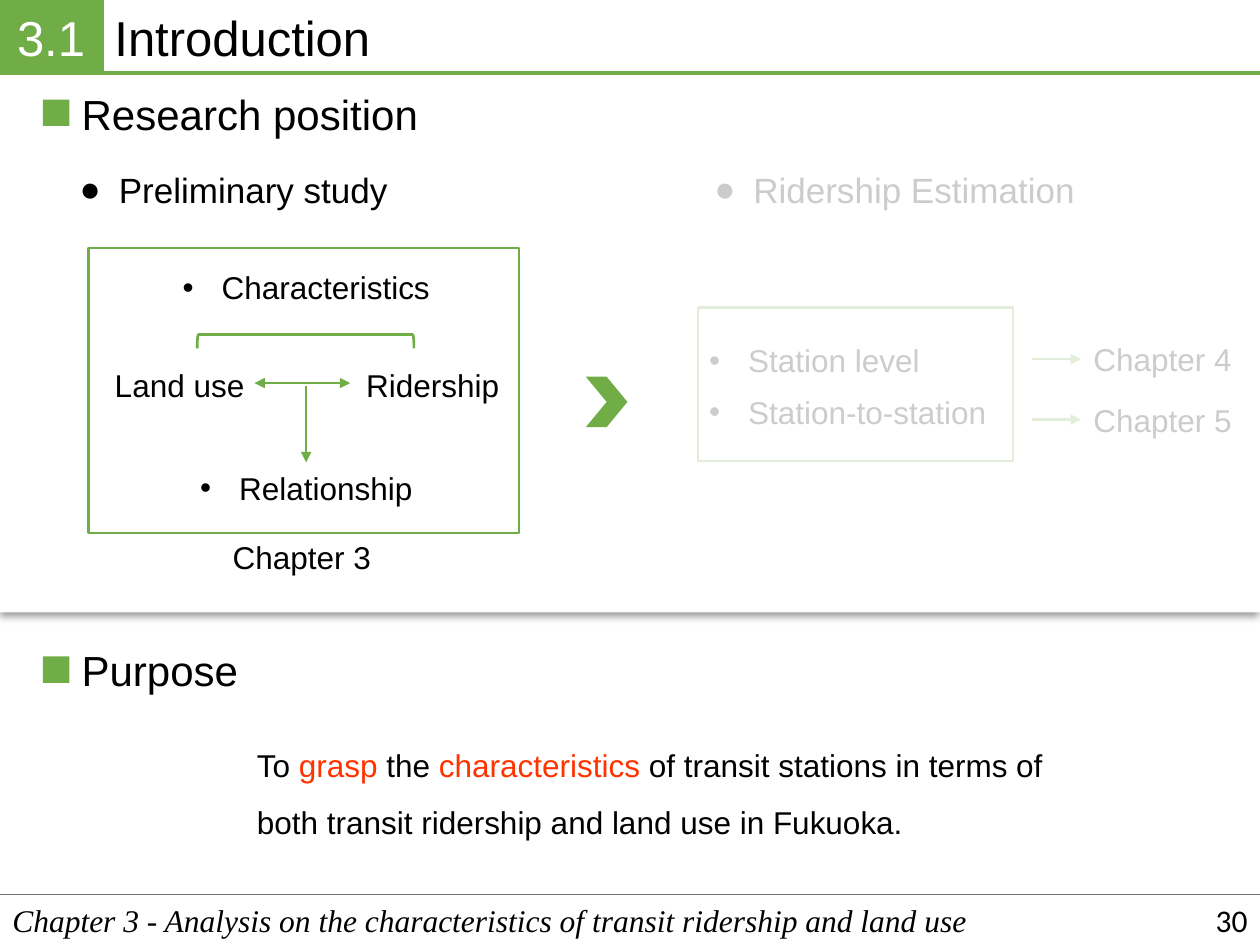
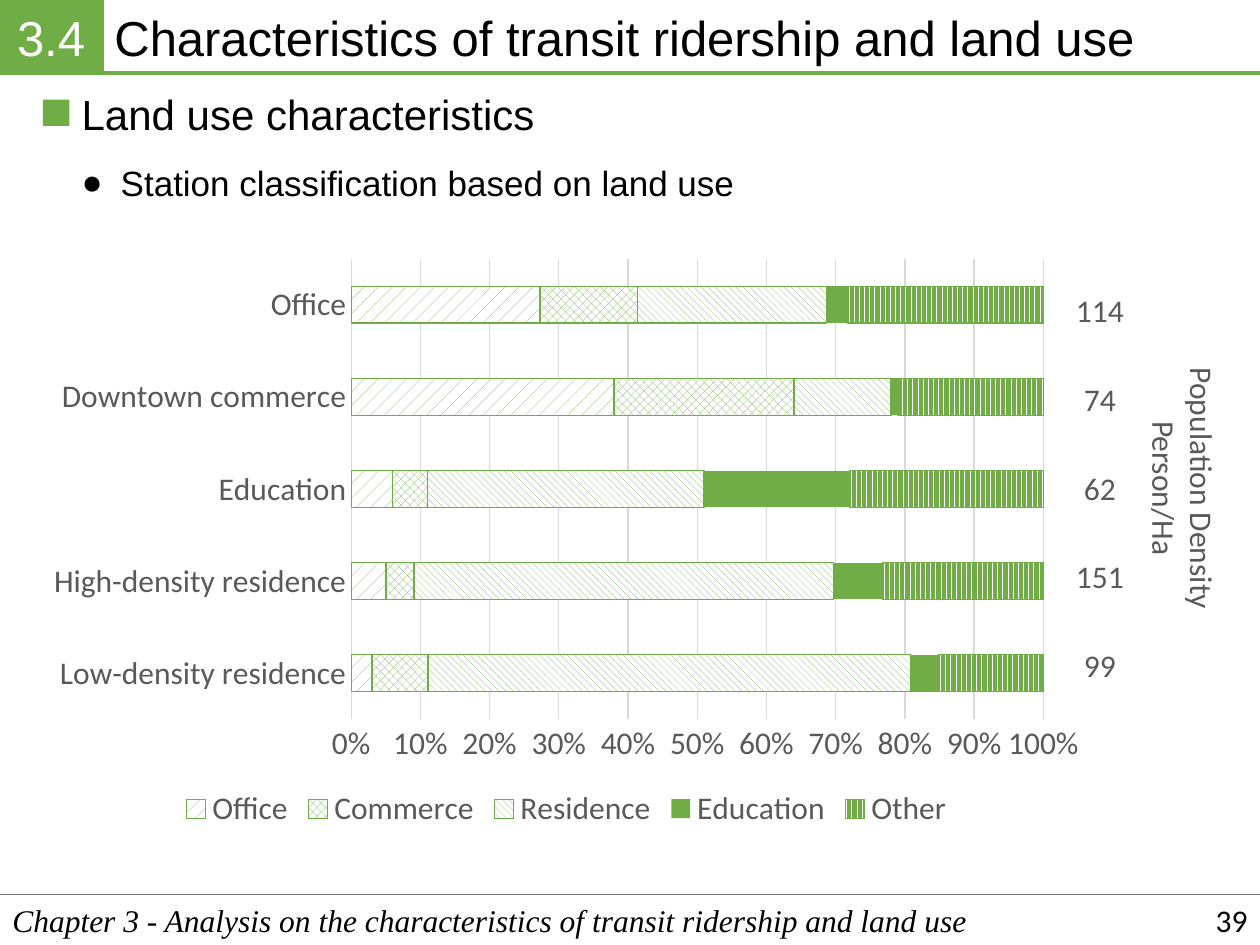
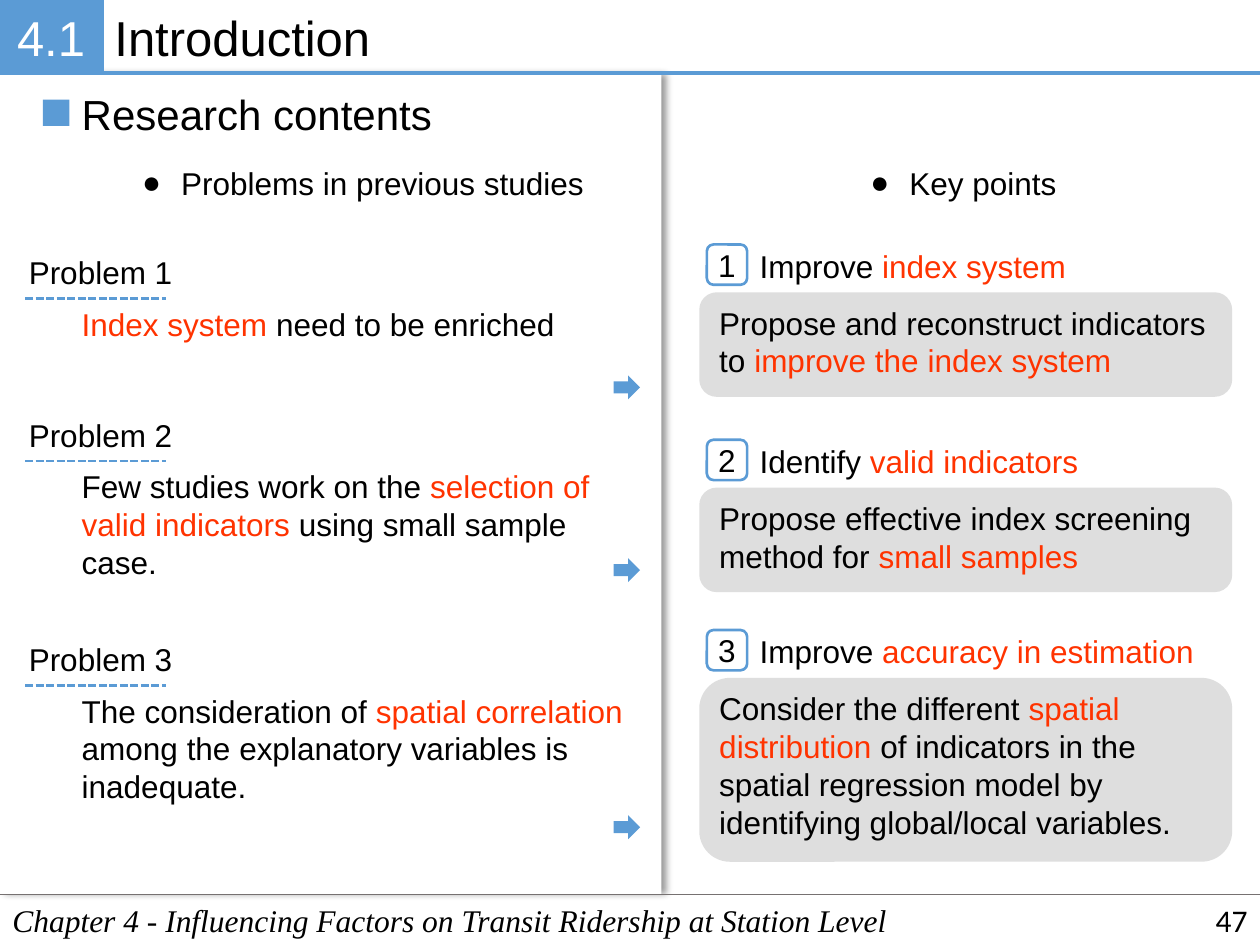
from dataclasses import dataclass
from typing import Any

from lxml import etree
from pptx import Presentation
from pptx.chart.data import CategoryChartData
from pptx.dml.color import RGBColor
from pptx.enum.chart import XL_CHART_TYPE, XL_LEGEND_POSITION, XL_TICK_MARK
from pptx.enum.dml import MSO_LINE, MSO_PATTERN
from pptx.enum.shapes import MSO_CONNECTOR, MSO_SHAPE
from pptx.enum.text import MSO_ANCHOR, MSO_AUTO_SIZE, PP_ALIGN
from pptx.oxml.ns import qn
from pptx.util import Inches, Pt

BLACK = RGBColor(0x00, 0x00, 0x00)
WHITE = RGBColor(0xFF, 0xFF, 0xFF)
GREEN = RGBColor(0x70, 0xAD, 0x47)
BLUE = RGBColor(0x5B, 0x9B, 0xD5)
RED = RGBColor(0xFF, 0x33, 0x00)
RULE_GRAY = RGBColor(0x76, 0x71, 0x71)
CARD_GRAY = RGBColor(0x7F, 0x7F, 0x7F)
CHART_TEXT = RGBColor(0x59, 0x59, 0x59)
GRID_GRAY = RGBColor(0xD9, 0xD9, 0xD9)

LEFT, CENTER, RIGHT = PP_ALIGN.LEFT, PP_ALIGN.CENTER, PP_ALIGN.RIGHT
TOP, MIDDLE = MSO_ANCHOR.TOP, MSO_ANCHOR.MIDDLE
RECTANGLE, ROUNDED = MSO_SHAPE.RECTANGLE, MSO_SHAPE.ROUNDED_RECTANGLE
CHEVRON, RIGHT_ARROW = MSO_SHAPE.CHEVRON, MSO_SHAPE.RIGHT_ARROW
BRACKET = MSO_SHAPE.LEFT_BRACKET
SHORT_DASH = MSO_LINE.SQUARE_DOT
STRAIGHT = MSO_CONNECTOR.STRAIGHT
NO_TICK = XL_TICK_MARK.NONE
SIDE_TOP, SIDE_LEFT = 0, 1

SLIDE_WIDTH, SLIDE_HEIGHT = 10, 7.5
HEADER_HEIGHT, FOOTER_TOP = 0.58, 7.1
BADGE_WIDTH = 0.81
BULLET_INDENT = 0.31

CHAPTER_3 = "Chapter 3 - Analysis on the characteristics of transit ridership and land use"
CHAPTER_4 = "Chapter 4 - Influencing Factors on Transit Ridership at Station Level"


def red(text):
    return text, RED


def add_runs(paragraph, runs, size, font, color, italic=False):
    """Each run is a string in the given colour or a (string, colour) pair."""
    for item in runs:
        text, run_color = item if isinstance(item, tuple) else (item, color)
        run = paragraph.add_run()
        run.text = text
        run.font.size = Pt(size)
        run.font.name = font
        run.font.color.rgb = run_color
        if italic:
            run.font.italic = True


def add_bullet(paragraph, character):
    properties = paragraph._p.get_or_add_pPr()
    properties.set("marL", str(Inches(BULLET_INDENT)))
    properties.set("indent", str(-Inches(BULLET_INDENT)))
    etree.SubElement(properties, qn("a:buFont"), typeface="Arial")
    etree.SubElement(properties, qn("a:buChar"), char=character)


def set_opacity(shape, percent):
    color = shape.element.spPr.find(qn("a:solidFill")).find(qn("a:srgbClr"))
    etree.SubElement(color, qn("a:alpha"), val=str(percent * 1000))


def add_shadow(shape, degrees):
    effects = shape.element.spPr.find(qn("a:effectLst"))
    shadow = etree.SubElement(effects, qn("a:outerShdw"), blurRad=str(Pt(4)), dist=str(Pt(3)),
                              dir=str(degrees * 60000), algn="ctr", rotWithShape="0")
    color = etree.SubElement(shadow, qn("a:srgbClr"), val="000000")
    etree.SubElement(color, qn("a:alpha"), val="40000")


@dataclass
class Region:
    """Places parts relative to a corner on a slide."""
    slide: Any
    left: float = 0
    top: float = 0

    def box(self, x, y, width, height):
        return (Inches(self.left + x), Inches(self.top + y), Inches(width), Inches(height))

    def text(self, x, y, width, height, *paragraphs, size=18, font="Arial", color=BLACK,
             align=LEFT, anchor=TOP, wrap=True, bullet=None, spacing=None, italic=False):
        text_box = self.slide.shapes.add_textbox(*self.box(x, y, width, height))
        frame = text_box.text_frame
        frame.word_wrap = wrap
        frame.auto_size = MSO_AUTO_SIZE.SHAPE_TO_FIT_TEXT
        frame.vertical_anchor = anchor
        for index, runs in enumerate(paragraphs):
            paragraph = frame.add_paragraph() if index else frame.paragraphs[0]
            if bullet:
                add_bullet(paragraph, bullet)
            paragraph.alignment = align
            if spacing:
                paragraph.line_spacing = spacing
            add_runs(paragraph, [runs] if isinstance(runs, str) else runs,
                     size, font, color, italic)
        return text_box

    def shape(self, kind, x, y, width, height, fill=None, line=None, line_width=1.5):
        shape = self.slide.shapes.add_shape(kind, *self.box(x, y, width, height))
        shape.shadow.inherit = False
        if fill is None:
            shape.fill.background()
        else:
            shape.fill.solid()
            shape.fill.fore_color.rgb = fill
        if line is None:
            shape.line.fill.background()
        else:
            shape.line.color.rgb = line
            shape.line.width = Pt(line_width)
        return shape

    def label(self, shape, text, size, color):
        frame = shape.text_frame
        frame.margin_left = frame.margin_right = frame.margin_top = frame.margin_bottom = 0
        frame.word_wrap = False
        frame.vertical_anchor = MIDDLE
        frame.paragraphs[0].alignment = CENTER
        add_runs(frame.paragraphs[0], [text], size, "Arial", color)

    def line(self, x1, y1, x2, y2, color, width=1.5, dash=None, head=False, tail=False,
             target=None, side=SIDE_TOP):
        connector = self.slide.shapes.add_connector(
            STRAIGHT, Inches(self.left + x1), Inches(self.top + y1),
            Inches(self.left + x2), Inches(self.top + y2))
        connector.line.color.rgb = color
        connector.line.width = Pt(width)
        if dash:
            connector.line.dash_style = dash
        outline = connector.line._get_or_add_ln()
        for wanted, tag in ((head, "a:headEnd"), (tail, "a:tailEnd")):
            if wanted:
                etree.SubElement(outline, qn(tag), type="triangle")
        etree.SubElement(connector.element.spPr, qn("a:effectLst"))
        if target is not None:
            connector.end_connect(target, side)


# Shared parts

def add_frame(slide, accent, number, title, chapter, page):
    region = Region(slide)
    # Footer
    region.text(0, FOOTER_TOP, SLIDE_WIDTH, 0.4, chapter, font="Times New Roman", italic=True)
    region.line(0, FOOTER_TOP, SLIDE_WIDTH, FOOTER_TOP, RULE_GRAY, 1)
    # Title with numbered badge
    region.text(BADGE_WIDTH, 0.01, SLIDE_WIDTH - BADGE_WIDTH, 0.57, title, size=28)
    badge = region.shape(RECTANGLE, 0, 0, BADGE_WIDTH, HEADER_HEIGHT, accent, accent, 2.25)
    region.label(badge, number, 28, WHITE)
    region.line(BADGE_WIDTH, HEADER_HEIGHT, SLIDE_WIDTH, HEADER_HEIGHT, accent, 2.25)
    # Page number
    region.text(7.75, FOOTER_TOP, 2.25, 0.4, page, font="Calibri", align=RIGHT, anchor=MIDDLE)


def add_heading(slide, top, width, text, accent):
    region = Region(slide, 0.34, top)
    region.shape(RECTANGLE, 0, 0.14, 0.21, 0.21, accent)
    region.text(0.21, 0, width, 0.5, text, size=24, wrap=False)


# Research position slide

def add_preliminary_study(slide, left, top):
    region = Region(slide, left, top)
    region.text(-0.1, 0, 3.03, 0.44, "Preliminary study", size=20, align=CENTER, bullet="●")
    region.shape(RECTANGLE, 0.26, 0.68, 3.42, 2.26, line=GREEN)
    region.text(0, 0.79, 3.98, 0.4, "Characteristics", align=CENTER, bullet="•")
    relationship = region.text(0, 2.38, 3.98, 0.4, "Relationship", align=CENTER, bullet="•")
    region.text(1.3, 2.93, 1.31, 0.4, "Chapter 3", align=CENTER, wrap=False)
    for x, text in ((0, "Land use"), (2.01, "Ridership")):
        region.text(x, 1.57, 1.97, 0.4, text, align=CENTER)
    # Links between the terms
    region.line(1.58, 1.75, 2.34, 1.75, GREEN, head=True, tail=True)
    bracket = region.shape(BRACKET, 1.93, 0.56, 0.11, 1.72, line=GREEN)
    bracket.rotation = 90
    region.line(1.99, 1.77, 1.99, 2.38, GREEN, tail=True, target=relationship)
    region.shape(CHEVRON, 4.21, 1.7, 0.33, 0.4, GREEN)


def add_ridership_estimation(slide, left, top):
    region = Region(slide, left, top)
    region.text(-0.11, 0, 3.58, 0.44, "Ridership Estimation", size=20, align=CENTER, bullet="●")
    region.shape(RECTANGLE, 0.12, 1.15, 2.5, 1.22, line=GREEN)
    region.text(0.11, 1.37, 1.89, 0.4, "Station level", wrap=False, bullet="•")
    region.text(0.11, 1.78, 2.5, 0.4, "Station-to-station", bullet="•")
    for y, text in ((1.36, "Chapter 4"), (1.84, "Chapter 5")):
        chapter = region.text(3.16, y, 1.31, 0.4, text, wrap=False)
        region.line(2.77, y + 0.2, 3.16, y + 0.2, GREEN, tail=True,
                    target=chapter, side=SIDE_LEFT)
    # Veil that fades the later chapters
    set_opacity(region.shape(RECTANGLE, 0, 0, 4.48, 2.6, WHITE), 80)


def build_position_slide(slide):
    panel = Region(slide).shape(RECTANGLE, 0, HEADER_HEIGHT, SLIDE_WIDTH, 4.28, WHITE)
    add_shadow(panel, 90)
    add_frame(slide, GREEN, "3.1", "Introduction", CHAPTER_3, "30")
    add_heading(slide, 0.65, 2.9, "Research position", GREEN)
    add_heading(slide, 5.07, 1.46, "Purpose", GREEN)
    Region(slide).text(
        1.94, 5.72, 6.93, 0.95,
        ["To ", red("grasp"), " the ", red("characteristics"),
         " of transit stations in terms of both transit ridership and land use in Fukuoka."],
        spacing=1.5)
    add_preliminary_study(slide, 0.44, 1.29)
    add_ridership_estimation(slide, 5.42, 1.29)


# Land use slide

LAND_USE_CATEGORIES = ["Low-density residence", "High-density residence", "Education",
                       "Downtown commerce", "Office"]
LAND_USE_SERIES = [
    ("Office", (3, 5, 6, 38, 27), MSO_PATTERN.PERCENT_10),
    ("Commerce", (8, 4, 5, 26, 14), MSO_PATTERN.PERCENT_50),
    ("Residence", (69, 60, 40, 14, 27), MSO_PATTERN.WIDE_DOWNWARD_DIAGONAL),
    ("Education", (4, 7, 21, 1, 3), None),
    ("Other", (15, 23, 28, 21, 28), MSO_PATTERN.DARK_VERTICAL),
]


def style_chart_font(font):
    font.size = Pt(18)
    font.name = "Calibri"
    font.color.rgb = CHART_TEXT


def add_land_use_chart(slide, left, top):
    data = CategoryChartData()
    data.categories = LAND_USE_CATEGORIES
    for name, values, _ in LAND_USE_SERIES:
        data.add_series(name, values)
    chart = slide.shapes.add_chart(XL_CHART_TYPE.BAR_STACKED_100,
                                   *Region(slide, left, top).box(0, 0, 8.47, 4.66), data).chart
    style_chart_font(chart.font)
    chart.has_title = False
    chart.has_legend = True
    chart.legend.position = XL_LEGEND_POSITION.BOTTOM
    chart.legend.include_in_layout = False
    style_chart_font(chart.legend.font)

    # Axes
    for axis in (chart.category_axis, chart.value_axis):
        axis.major_tick_mark = axis.minor_tick_mark = NO_TICK
        style_chart_font(axis.tick_labels.font)
    chart.category_axis.format.line.color.rgb = GRID_GRAY
    chart.category_axis.format.line.width = Pt(0.75)
    value_axis = chart.value_axis
    value_axis.format.line.fill.background()
    value_axis.major_gridlines.format.line.color.rgb = GRID_GRAY
    value_axis.major_gridlines.format.line.width = Pt(0.75)
    value_axis.tick_labels.number_format = "0%"
    value_axis.tick_labels.number_format_is_linked = False

    # Bars
    plot = chart.plots[0]
    plot.gap_width, plot.overlap = 150, 100
    plot.vary_by_categories = False
    for series, (_, _, pattern) in zip(plot.series, LAND_USE_SERIES):
        fill = series.format.fill
        if pattern is None:
            fill.solid()
            fill.fore_color.rgb = GREEN
            continue
        fill.patterned()
        fill.pattern = pattern
        fill.fore_color.rgb = GREEN
        fill.back_color.rgb = WHITE
        series.format.line.color.rgb = GREEN
        series.format.line.width = Pt(0.75)


def add_population_density(slide, left, top):
    region = Region(slide, left, top)
    style = {"font": "Calibri", "color": CHART_TEXT, "align": CENTER, "wrap": False}
    for index, density in enumerate(("114", "74", "62", "151", "99")):
        region.text(0, index * 0.705, 0.6, 0.4, density, **style)
    title = region.text(-0.11, 1.26, 2.14, 0.71, "Population Density", "Person/Ha", **style)
    title.rotation = 90


def build_land_use_slide(slide):
    add_frame(slide, GREEN, "3.4", "Characteristics of transit ridership and land use",
              CHAPTER_3, "39")
    add_heading(slide, 0.65, 3.83, "Land use characteristics", GREEN)
    Region(slide).text(0.55, 1.23, 5.43, 0.44, "Station classification based on land use",
                       size=20, wrap=False, bullet="●")
    add_land_use_chart(slide, 0.26, 1.96)
    add_population_density(slide, 8.43, 2.26)


# Research contents slide: (top, arrow offset, text)
PROBLEMS = [
    (1.96, 1.02, [red("Index system "), "need to be enriched"]),
    (3.25, 1.18, ["Few studies work on the ", red("selection of valid indicators "),
                  "using small sample case."]),
    (5.03, 1.44, ["The consideration of ", red("spatial correlation "),
                  "among the explanatory variables is inadequate."]),
]
# (top, card height, title, text)
KEY_POINTS = [
    (1.91, 0.83, ["Improve ", red("index system")],
     ["Propose and reconstruct indicators to ", red("improve the index system")]),
    (3.46, 0.83, ["Identify ", red("valid indicators")],
     ["Propose effective index screening method for ", red("small samples")]),
    (4.97, 1.46, ["Improve ", red("accuracy in estimation")],
     ["Consider the different ", red("spatial distribution"),
      " of indicators in the spatial regression model by identifying global/local variables."]),
]


def add_problem(slide, left, top, number, arrow_offset, runs):
    region = Region(slide, left, top)
    region.text(0, 0, 1.35, 0.4, f"Problem {number}", wrap=False)
    region.line(0.07, 0.41, 1.19, 0.41, BLUE, dash=SHORT_DASH)
    region.text(0.42, 0.41, 4.71, 0.4, runs)
    region.shape(RIGHT_ARROW, 4.74, arrow_offset, 0.21, 0.19, BLUE)


def add_key_point(slide, left, top, number, card_height, title, runs):
    region = Region(slide, left, top)
    set_opacity(region.shape(ROUNDED, 0, 0.41, 4.23, card_height, CARD_GRAY), 25)
    badge = region.shape(ROUNDED, 0.06, 0.03, 0.32, 0.32, line=BLUE)
    region.label(badge, str(number), 18, BLACK)
    region.text(0.38, 0, 3.92, 0.4, title)
    region.text(0.06, 0.45, 4.09, 0.71, runs)


def build_contents_slide(slide):
    panel = Region(slide).shape(RECTANGLE, 0, 0.59, 5.25, 6.51, WHITE)
    add_shadow(panel, 0)
    add_frame(slide, BLUE, "4.1", "Introduction", CHAPTER_4, "47")
    add_heading(slide, 0.65, 3.01, "Research contents", BLUE)
    for x, width, text in ((1.03, 3.74, "Problems in previous studies"),
                           (6.81, 1.7, "Key points")):
        Region(slide).text(x, 1.25, width, 0.4, text, wrap=False, bullet="●")
    for number, (top, *details) in enumerate(PROBLEMS, 1):
        add_problem(slide, 0.13, top, number, *details)
    for number, (top, *details) in enumerate(KEY_POINTS, 1):
        add_key_point(slide, 5.55, top, number, *details)


def main():
    presentation = Presentation()
    presentation.slide_width = Inches(SLIDE_WIDTH)
    presentation.slide_height = Inches(SLIDE_HEIGHT)
    blank_layout = presentation.slide_layouts[6]
    for build in (build_position_slide, build_land_use_slide, build_contents_slide):
        build(presentation.slides.add_slide(blank_layout))
    presentation.save("out.pptx")


if __name__ == "__main__":
    main()
